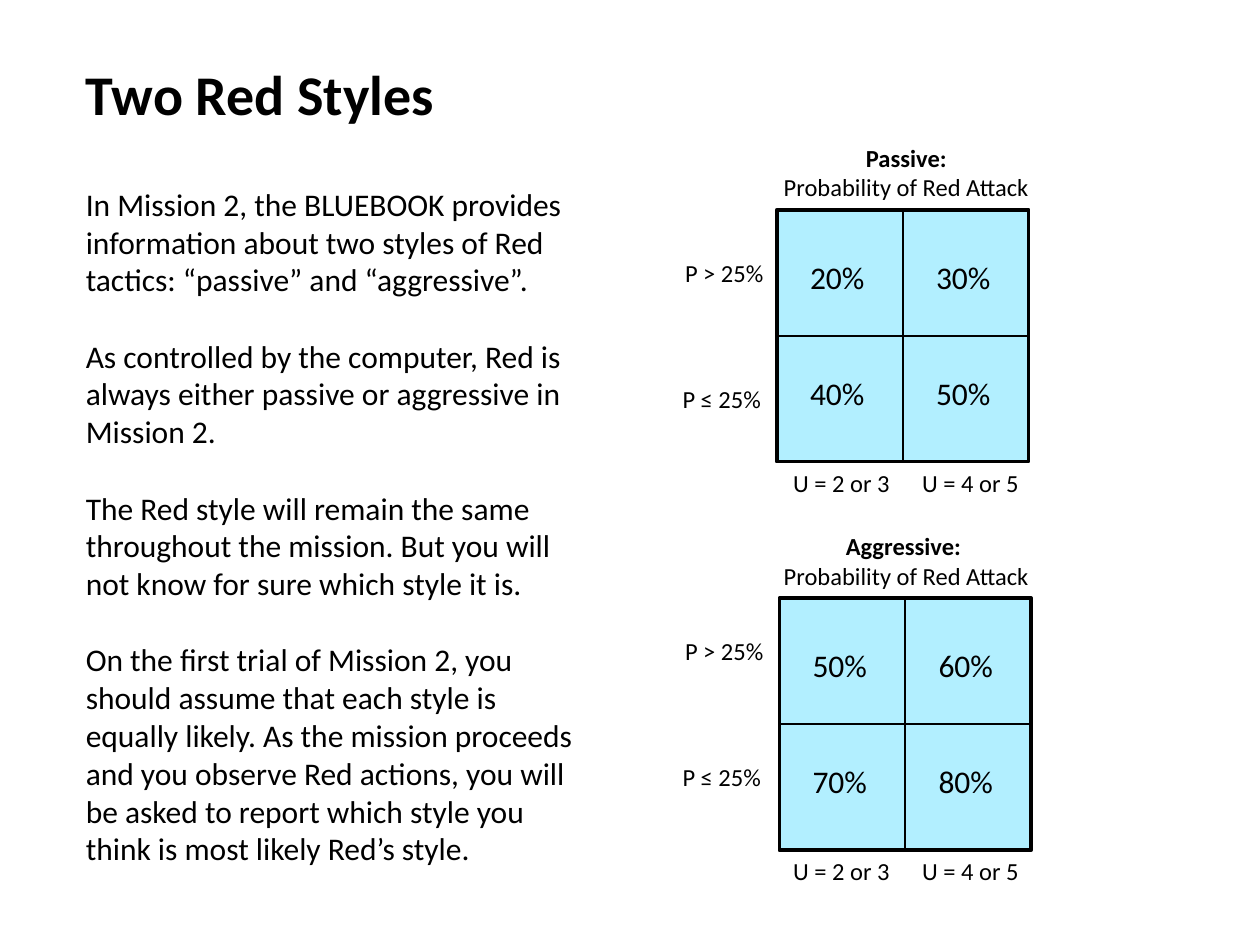
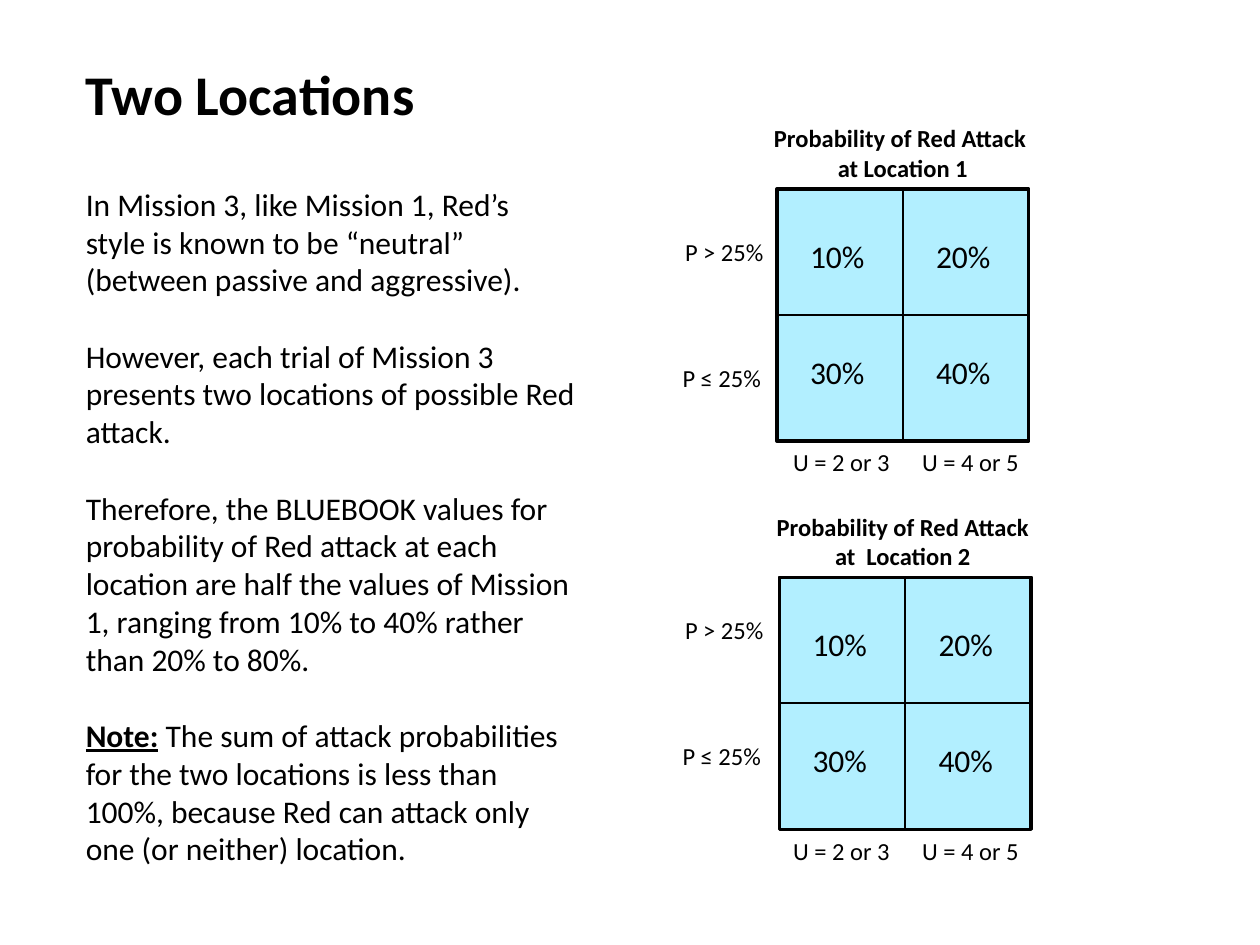
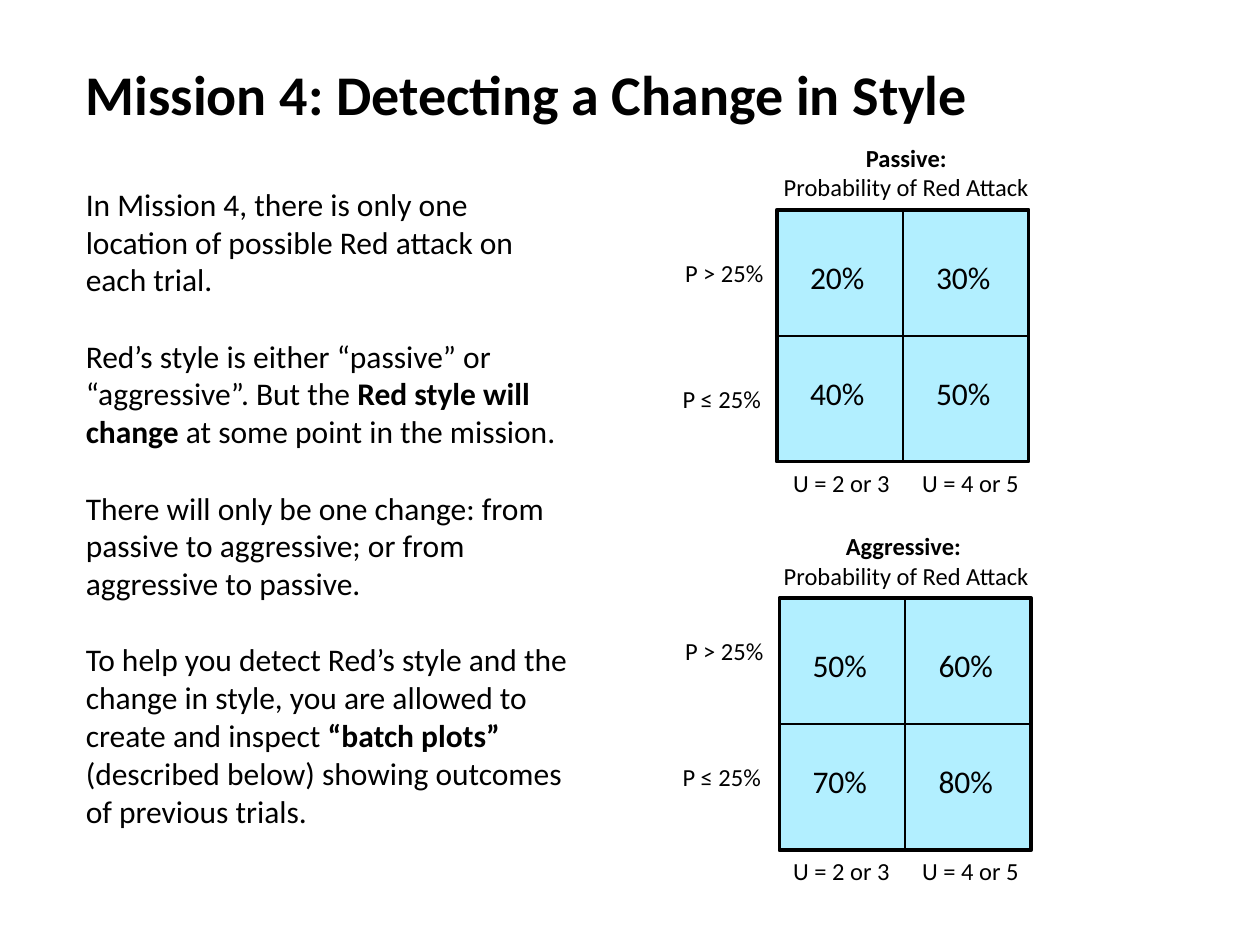
from lxml import etree
from pptx import Presentation
from pptx import util as u
from pptx.dml.color import RGBColor
from pptx.enum import shapes, text
from pptx.oxml.ns import qn

CELL = 2.54
GRID_PITCH = 7.83
GRID_LEFTS = (15.66, 15.71)
P_LABEL_DROPS = (0.84, 0.64)
P_LABELS = (("P > 25%", 13.56), ("P ≤ 25%", 13.51))
U_LABELS = (("U = 2 or 3", 15.74), ("U = 4 or 5", 18.34))
VALUE_DROPS = (0.84, 3.18)


def rgb(color):
    return RGBColor.from_string(color)


def bold(words, **fmt):
    return words, {"bold": True, **fmt}


def add_run(p, words, font="Calibri", size=18, color="000000", bold=False, underline=False):
    r = p.add_run()
    r.text = words
    r.font.name = font
    r.font.size = u.Pt(size)
    r.font.color.rgb = rgb(color)
    r.font.bold = bold
    r.font.underline = underline


class Deck:
    def __init__(self):
        self.prs = Presentation()
        self.prs.slide_width, self.prs.slide_height = u.Cm(25.4), u.Cm(19.05)
        self.s = None

    def new_slide(self):
        self.s = self.prs.slides.add_slide(self.prs.slide_layouts[6])

    def text(self, x, y, w, h, *paragraphs, wrap=False, align=None, gap=0, **fmt):
        """Add a text box; a paragraph is a string or a list of strings and (words, format) runs."""
        tf = self.s.shapes.add_textbox(u.Cm(x), u.Cm(y), u.Cm(w), u.Cm(h)).text_frame
        tf.word_wrap = wrap
        tf.auto_size = text.MSO_AUTO_SIZE.SHAPE_TO_FIT_TEXT
        for i, runs in enumerate(paragraphs):
            p = tf.add_paragraph() if i else tf.paragraphs[0]
            p.alignment = align
            if i and gap:
                p.space_before = u.Pt(gap)
            for run in [runs] if isinstance(runs, str) else runs:
                words, extra = (run, {}) if isinstance(run, str) else run
                add_run(p, words, **{**fmt, **extra})

    def title(self, words, width):
        self.text(1.48, 1.07, width, 1.63, words, size=32, bold=True)

    def body(self, *paragraphs, height=14.1):
        self.text(1.48, 3.6, 10.36, height, *paragraphs, wrap=True, gap=22)

    def square(self, x, y, side, line, fill=None, alpha=100):
        sp = self.s.shapes.add_shape(shapes.MSO_SHAPE.RECTANGLE,
                                     u.Cm(x), u.Cm(y), u.Cm(side), u.Cm(side))
        sp.shadow.inherit = False
        sp.line.color.rgb = rgb("000000")
        sp.line.width = u.Pt(line)
        if fill is None:
            sp.fill.background()
            return
        sp.fill.solid()
        sp.fill.fore_color.rgb = rgb(fill)
        clr = sp._element.spPr.find(qn("a:solidFill")).find(qn("a:srgbClr"))
        etree.SubElement(clr, qn("a:alpha"), val=str(alpha * 1000))

    def grid(self, x, y, values, p_drop):
        """Draw the 2 by 2 probability grid with its values and axis labels."""
        self.square(x, y, 2 * CELL, line=2, fill="00CCFF", alpha=30)
        for i in range(2):
            self.square(x + i * CELL, y + i * CELL, CELL, line=1)
        for row, drop in zip(values, VALUE_DROPS):
            for col, value in enumerate(row):
                self.text(x + 0.42 + col * CELL, y + drop, 1.63, 1.02, f"{value}%")
        for i, (label, left) in enumerate(P_LABELS):
            self.text(left, y + p_drop + i * CELL, 2.11, 0.86, label, size=14)
        for label, left in U_LABELS:
            self.text(left, y + 2 * CELL, 2.46, 0.86, label, size=14)

    def grids(self, top, center, *tables, lift=1.47):
        """Stack captioned grids; each table is (caption lines, caption width, values)."""
        for i, (caption, width, values) in enumerate(tables):
            y = top + i * GRID_PITCH
            self.grid(GRID_LEFTS[i], y, values, P_LABEL_DROPS[i])
            self.text(center - width / 2, y - lift, width, 1.45, *caption,
                      align=text.PP_ALIGN.CENTER, size=14)


def style_grids(deck):
    second_line = "Probability of Red Attack"
    deck.grids(4.23, 18.27,
               ([[bold("Passive:")], second_line], 5.64, ((20, 30), (40, 50))),
               ([[bold("Aggressive: ")], second_line], 5.51, ((50, 60), (70, 80))))


def red_styles(deck):
    deck.new_slide()
    deck.title("Two Red Styles", 7.62)
    deck.body(
        "In Mission 2, the BLUEBOOK provides information about two styles of Red tactics: "
        "“passive” and “aggressive”.",
        "As controlled by the computer, Red is always either passive or aggressive in Mission 2.",
        "The Red style will remain the same throughout the mission. But you will not know for "
        "sure which style it is.",
        "On the first trial of Mission 2, you should assume that each style is equally likely. "
        "As the mission proceeds and you observe Red actions, you will be asked to report which "
        "style you think is most likely Red’s style.")
    style_grids(deck)


def locations(deck):
    deck.new_slide()
    deck.title("Two Locations", 7.24)
    deck.body(
        "In Mission 3, like Mission 1, Red’s style is known to be “neutral” (between passive "
        "and aggressive).",
        "However, each trial of Mission 3 presents two locations of possible Red attack.",
        "Therefore, the BLUEBOOK values for probability of Red attack at each location are half "
        "the values of Mission 1, ranging from 10% to 40% rather than 20% to 80%.",
        [bold("Note:", underline=True),
         " The sum of attack probabilities for the two locations is less than 100%, because Red "
         "can attack only one (or neither) location."])
    values = ((10, 20), (30, 40))
    deck.grids(3.81, 18.2,
               ([[bold("Probability of Red Attack ")], [bold("at Location 1")]], 5.77, values),
               ([[bold("Probability of Red Attack")], [bold("at  Location 2")]], 5.64, values),
               lift=1.45)


def style_change(deck):
    deck.new_slide()
    deck.title("Mission 4: Detecting a Change in Style", 18.47)
    deck.body(
        "In Mission 4, there is only one location of possible Red attack on each trial.",
        ["Red’s style is either “passive” or “aggressive”. But the ",
         bold("Red style will change "), "at some point in the mission."],
        "There will only be one change: from passive to aggressive; or from aggressive to "
        "passive.",
        ["To help you detect Red’s style and the change in style, you are allowed to create and "
         "inspect ", bold("“batch plots” "),
         "(described below) showing outcomes of previous trials."],
        height=13.34)
    style_grids(deck)


def main():
    deck = Deck()
    for build in (red_styles, locations, style_change):
        build(deck)
    deck.prs.save("out.pptx")


if __name__ == "__main__":
    main()
